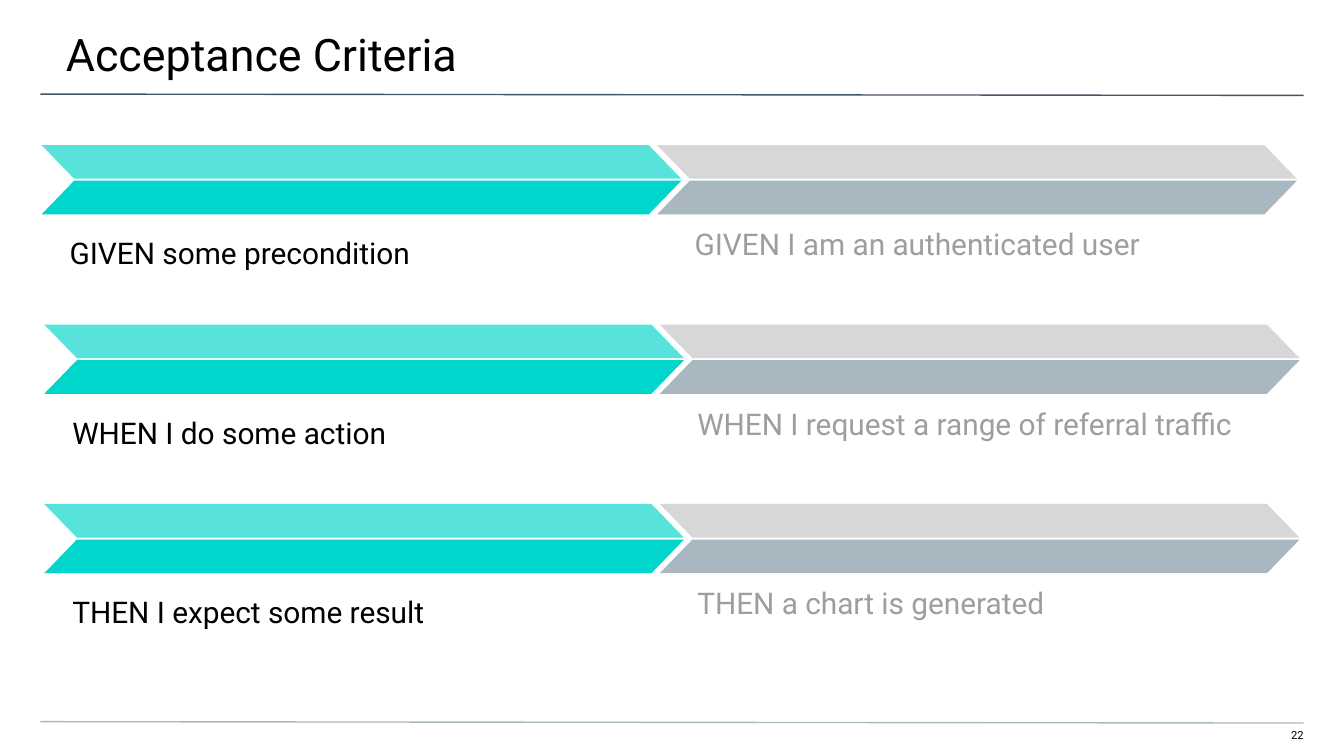
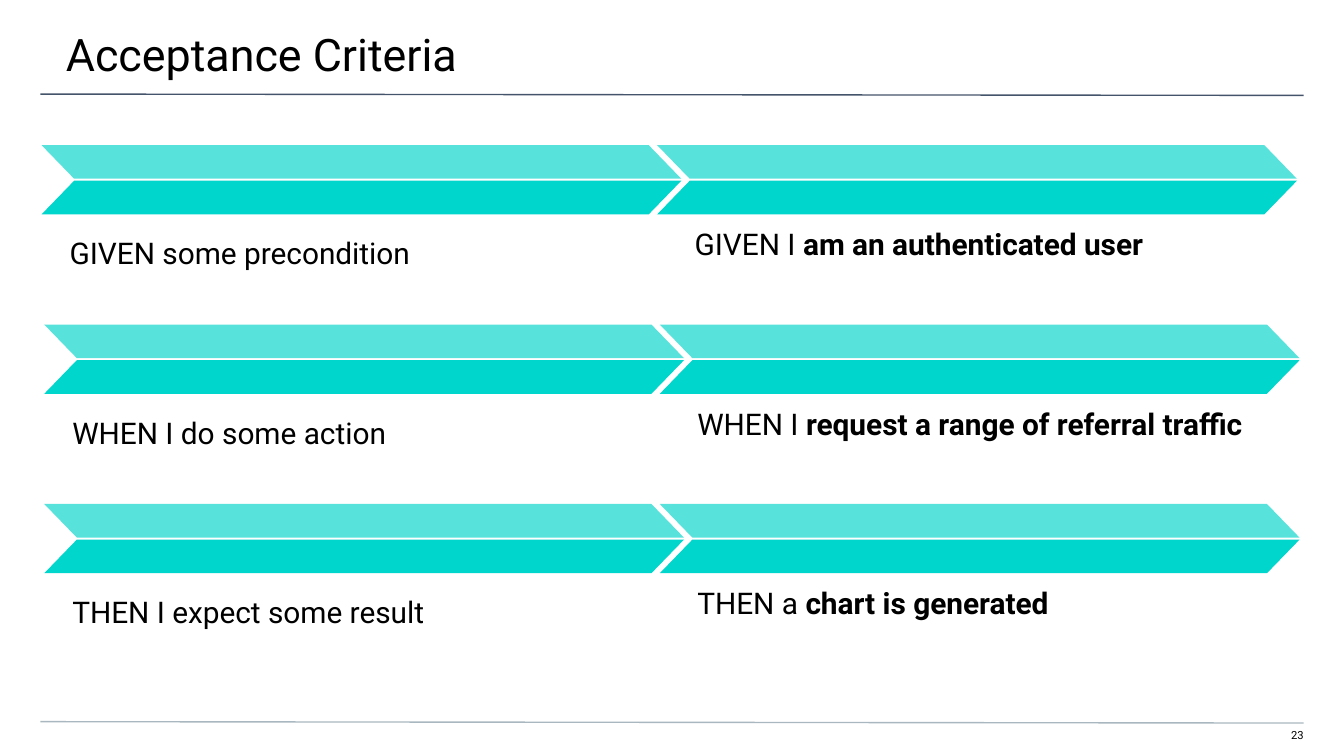
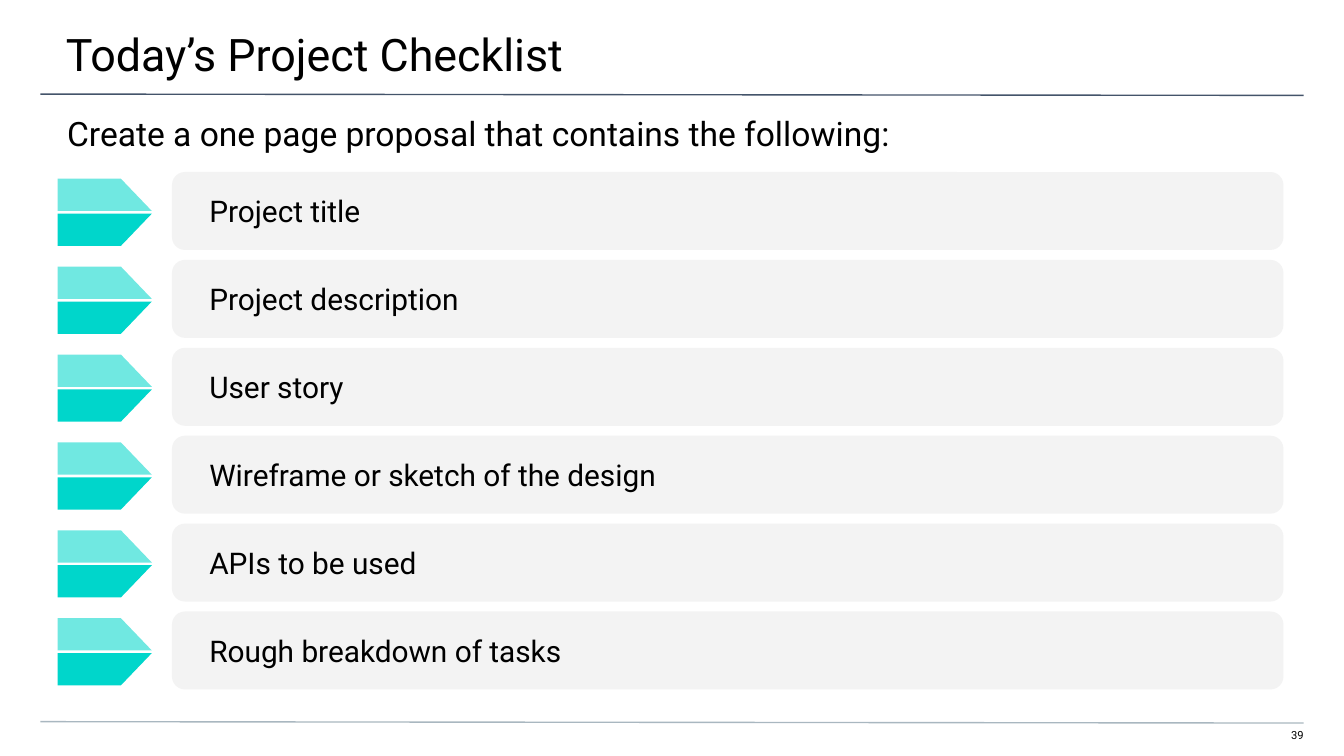
from dataclasses import dataclass

from lxml.etree import SubElement
from pptx import Presentation
from pptx.dml.color import RGBColor
from pptx.enum.shapes import MSO_CONNECTOR, MSO_SHAPE
from pptx.enum.text import MSO_ANCHOR, PP_ALIGN
from pptx.oxml.ns import qn
from pptx.util import Inches, Pt


@dataclass(frozen=True)
class Theme:
    font: str = "Roboto"
    ink: str = "000000"
    muted: str = "9E9E9E"
    navy: str = "44546A"
    steel: str = "A9B7C0"
    teal: str = "00D6CB"
    silver: str = "D4D4D4"
    panel: str = "F3F3F3"
    title_size: float = 24
    subtitle_size: float = 18
    body_size: float = 16
    number_size: float = 6
    rule_width: float = 0.75


THEME = Theme()
TEAL_BAND = ((THEME.teal, 66), (THEME.teal, 100))
GREY_BAND = ((THEME.silver, 91), (THEME.steel, 100))
TEAL_ARROW = ((THEME.teal, 56), (THEME.teal, 100))

CRITERIA = (
    (0.31, "GIVEN some precondition", "GIVEN I", " am an authenticated user"),
    (0.33, "WHEN I do some action", "WHEN I ", "request a range of referral traffic"),
    (0.33, "THEN I expect some result", "THEN a ", "chart is generated"),
)
CHECKLIST = (
    "Project title",
    "Project description",
    "User story",
    "Wireframe or sketch of the design",
    "APIs to be used",
    "Rough breakdown of tasks",
)


def write(frame, *parts, size=THEME.body_size, color=THEME.ink, bold_tail=False,
          insets=(0.1, 0.1, 0.1, 0), align=PP_ALIGN.LEFT, anchor=MSO_ANCHOR.TOP,
          line_spacing=None, space_after=None):
    frame.word_wrap = True
    frame.vertical_anchor = anchor
    (frame.margin_left, frame.margin_top,
     frame.margin_right, frame.margin_bottom) = map(Inches, insets)
    para = frame.paragraphs[0]
    para.alignment = align
    if line_spacing:
        para.line_spacing = line_spacing
    if space_after:
        para.space_after = Pt(space_after)
    for index, text in enumerate(parts):
        span = para.add_run()
        span.text = text
        span.font.name = THEME.font
        span.font.size = Pt(size)
        span.font.bold = bold_tail and index > 0
        span.font.color.rgb = RGBColor.from_string(color)


def add_text(page, box, *parts, **style):
    write(page.shapes.add_textbox(*map(Inches, box)).text_frame, *parts, **style)


def paint(shape, color, opacity=100):
    shape.shadow.inherit = False
    shape.line.fill.background()
    shape.fill.solid()
    shape.fill.fore_color.rgb = RGBColor.from_string(color)
    if opacity < 100:
        tint = shape._element.spPr.find(".//" + qn("a:srgbClr"))
        SubElement(tint, qn("a:alpha"), val=str(opacity * 1000))


def add_rule(page, top, color):
    ends = map(Inches, (0.3, top, 9.7, top + 0.01))
    rule = page.shapes.add_connector(MSO_CONNECTOR.STRAIGHT, *ends)
    rule.line.color.rgb = RGBColor.from_string(color)
    rule.line.width = Pt(THEME.rule_width)
    SubElement(rule._element.spPr, qn("a:effectLst"))


def add_page(deck, title, number):
    page = deck.slides.add_slide(deck.slide_layouts[6])
    add_text(page, (9.41, 5.42, 0.29, 0.12), str(number), size=THEME.number_size,
             insets=(0, 0, 0, 0.1), align=PP_ALIGN.RIGHT)
    add_rule(page, 0.7, THEME.navy)
    add_rule(page, 5.37, THEME.steel)
    add_text(page, (-0.01, 0, 10.03, 0.58), title, size=THEME.title_size,
             insets=(0.5, 0.2, 0.3, 0.1))
    return page


def add_band(page, left, top, halves):
    pitch = 0.53 / 2
    for index, (color, opacity) in enumerate(halves):
        box = map(Inches, (left, top + index * pitch, 4.76, 0.25))
        half = page.shapes.add_shape(MSO_SHAPE.PARALLELOGRAM, *box)
        half.adjustments[0] = 0.97
        paint(half, color, opacity)
        if index == 0:
            half._element.spPr.find(qn("a:xfrm")).set("flipH", "1")


def add_criterion(page, top, criterion, revealed):
    left, rule, lead, example = criterion
    example_parts = (lead, example) if revealed else (lead + example,)
    add_band(page, left, top, TEAL_BAND)
    add_band(page, left + 4.58, top, TEAL_BAND if revealed else GREY_BAND)
    add_text(page, (left + 4.76, top + 0.5, 4.33, 0.41), *example_parts, space_after=16,
             bold_tail=revealed, color=THEME.ink if revealed else THEME.muted)
    add_text(page, (left + 0.11, top + 0.53, 4.07, 0.41), rule, line_spacing=1.15)


def add_criteria_page(deck, number, revealed):
    page = add_page(deck, "Acceptance Criteria", number)
    pitch = (3.75 - 1.08) / 2
    for row, criterion in enumerate(CRITERIA):
        add_criterion(page, 1.08 + row * pitch, criterion, revealed)


def add_arrow(page, left, top):
    middle = top + 0.25
    edges = ((top, middle - 0.01), (top + 0.5, middle + 0.01))
    for (outer, inner), (color, opacity) in zip(edges, TEAL_ARROW):
        corners = ((left, inner), (left + 0.7, inner), (left + 0.47, outer))
        outline = page.shapes.build_freeform(Inches(left), Inches(outer))
        outline.add_line_segments([(Inches(x), Inches(y)) for x, y in corners])
        paint(outline.convert_to_shape(), color, opacity)


def add_check_item(page, left, top, text):
    box = map(Inches, (left + 0.85, top, 8.27, 0.58))
    panel = page.shapes.add_shape(MSO_SHAPE.ROUNDED_RECTANGLE, *box)
    paint(panel, THEME.panel)
    write(panel.text_frame, text, insets=(0.25, 0.1, 0.1, 0.1), anchor=MSO_ANCHOR.MIDDLE)
    add_arrow(page, left, top + 0.05)


def add_checklist_page(deck, number):
    page = add_page(deck, "Today’s Project Checklist", number)
    add_text(page, (0, 0.74, 10, 0.4),
             "Create a one page proposal that contains the following:",
             size=THEME.subtitle_size, insets=(0.5, 0.1, 0.5, 0))
    pitch = (4.55 - 1.28) / (len(CHECKLIST) - 1)
    for row, text in enumerate(CHECKLIST):
        add_check_item(page, 0.43, 1.28 + row * pitch, text)


def main():
    deck = Presentation()
    deck.slide_width = Inches(10)
    deck.slide_height = deck.slide_width * 9 // 16
    add_criteria_page(deck, 22, revealed=False)
    add_criteria_page(deck, 23, revealed=True)
    add_checklist_page(deck, 39)
    deck.save("out.pptx")


if __name__ == "__main__":
    main()
